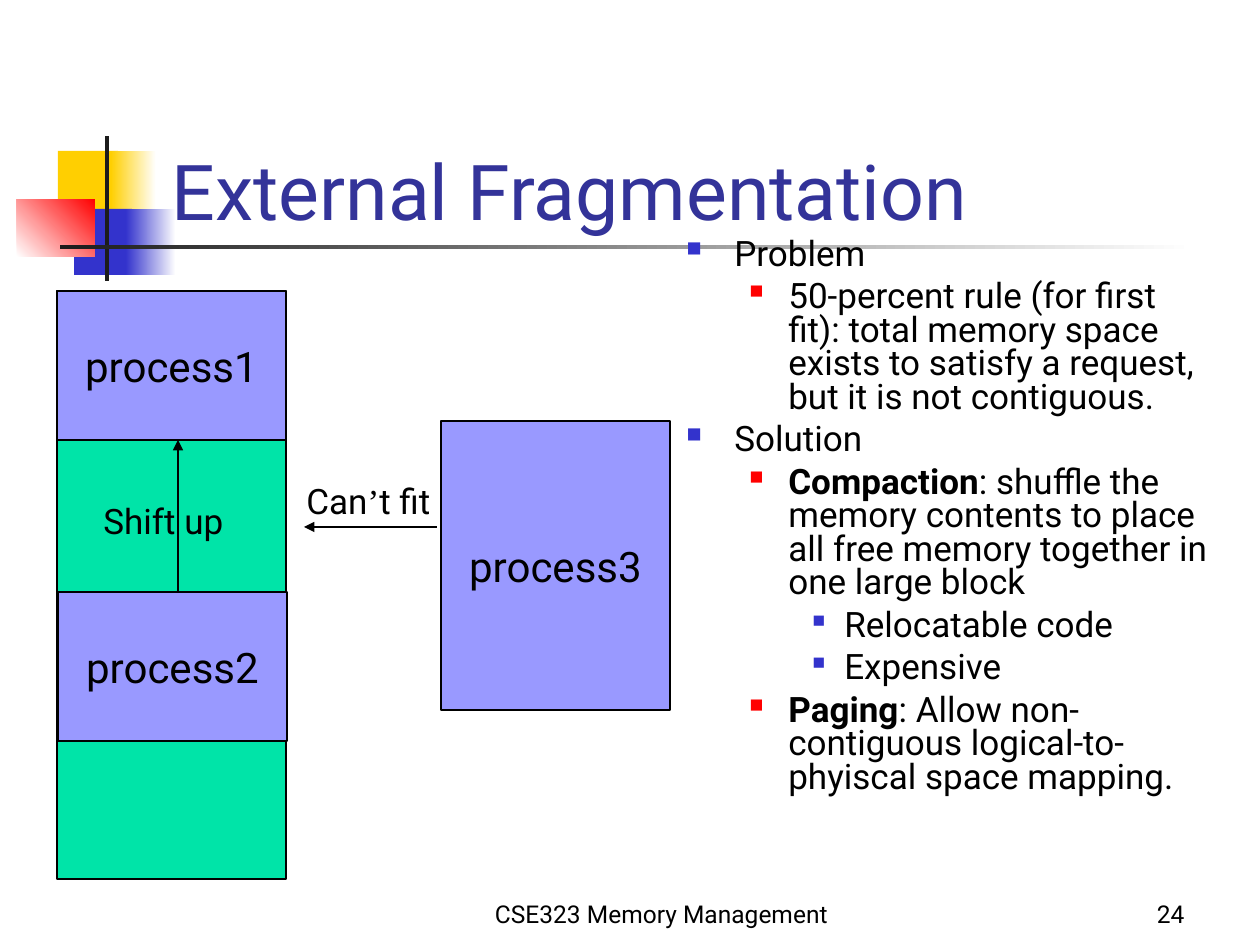
from dataclasses import dataclass
from typing import Optional

from lxml.etree import SubElement
from pptx import Presentation
from pptx.dml.color import RGBColor
from pptx.enum.shapes import MSO_CONNECTOR, MSO_SHAPE
from pptx.enum.text import MSO_ANCHOR as Anchor, MSO_AUTO_SIZE as AutoSize, PP_ALIGN as Align
from pptx.oxml.ns import qn
from pptx.util import Emu, Pt

PX_PER_INCH = 126


@dataclass(frozen=True)
class Theme:
    font: str = "Roboto"
    quote_font: str = "Times New Roman"
    ink: str = "000000"
    title: str = "333399"
    blue: str = "3333CC"
    red: str = "FF0000"
    yellow: str = "FFCF01"
    rule: str = "1C1C1C"
    white: str = "FFFFFF"
    free: str = "00E4A8"
    used: str = "9999FF"
    title_size: int = 44
    process_size: int = 24
    body_size: int = 20
    footer_size: int = 14
    hairline: float = 0.75


@dataclass(frozen=True)
class Box:
    x: int
    y: int
    w: int
    h: int


@dataclass(frozen=True)
class Ornament:
    box: Box
    start: str
    end: Optional[str] = None
    angle: int = 0


@dataclass(frozen=True)
class Block:
    box: Box
    color: str
    label: str = ""


@dataclass(frozen=True)
class Arrow:
    x1: int
    y1: int
    x2: int
    y2: int


@dataclass(frozen=True)
class Level:
    margin: int
    hanging: int
    color: str
    percent: int


@dataclass(frozen=True)
class Point:
    level: int
    text: str
    lead: str = ""


THEME = Theme()
ORNAMENTS = (
    Ornament(Box(58, 151, 60, 66), THEME.yellow),
    Ornament(Box(111, 151, 45, 66), THEME.yellow, THEME.white),
    Ornament(Box(74, 209, 58, 66), THEME.blue),
    Ornament(Box(126, 209, 50, 66), THEME.blue, THEME.white),
    Ornament(Box(17, 199, 78, 58), THEME.white, THEME.red, 45),
    Ornament(Box(105, 136, 4, 145), THEME.rule),
    Ornament(Box(60, 245, 1134, 4), THEME.rule, THEME.white),
)
BLOCKS = (
    Block(Box(57, 291, 229, 588), THEME.free),
    Block(Box(57, 291, 229, 149), THEME.used, "process1"),
    Block(Box(58, 592, 229, 149), THEME.used, "process2"),
    Block(Box(441, 421, 229, 289), THEME.used, "process3"),
)
ARROWS = (Arrow(437, 527, 304, 527), Arrow(178, 593, 178, 440))
LEVELS = (
    Level(48, 48, THEME.blue, 60),
    Level(102, 39, THEME.red, 55),
    Level(158, 32, THEME.blue, 50),
)
POINTS = (
    Point(0, "Problem"),
    Point(1, "50-percent rule (for first fit): total memory space exists to satisfy a request, "
             "but it is not contiguous."),
    Point(0, "Solution"),
    Point(1, ": shuffle the memory contents to place all free memory together in one large block",
          "Compaction"),
    Point(2, "Relocatable code"),
    Point(2, "Expensive"),
    Point(1, ": Allow non-contiguous logical-to-phyiscal space mapping.", "Paging"),
)


def px(length: int) -> Emu:
    """Turn pixels into EMU."""
    return Emu(round(length * 914400 / PX_PER_INCH))


def place(box: Box) -> tuple[Emu, Emu, Emu, Emu]:
    """Give a box as left, top, width and height in EMU."""
    return px(box.x), px(box.y), px(box.w), px(box.h)


def style(paragraph, size: int, color: str = THEME.ink, align: Align = Align.LEFT) -> None:
    """Set the alignment and font of a whole paragraph."""
    paragraph.alignment = align
    paragraph.font.name = THEME.font
    paragraph.font.size = Pt(size)
    paragraph.font.color.rgb = RGBColor.from_string(color)


def add_rect(slide, box: Box, color: str):
    """Draw a flat rectangle without an outline."""
    rect = slide.shapes.add_shape(MSO_SHAPE.RECTANGLE, *place(box))
    rect.shadow.inherit = False
    rect.line.fill.background()
    rect.fill.solid()
    rect.fill.fore_color.rgb = RGBColor.from_string(color)
    return rect


def add_ornament(slide, ornament: Ornament) -> None:
    """Draw one solid or fading part of the title decoration."""
    rect = add_rect(slide, ornament.box, ornament.start)
    if ornament.end:
        rect.fill.gradient()
        rect.fill.gradient_angle = ornament.angle
        for stop, color in zip(rect.fill.gradient_stops, (ornament.start, ornament.end)):
            stop.color.rgb = RGBColor.from_string(color)


def add_block(slide, block: Block) -> None:
    """Draw an outlined memory block with its label."""
    rect = add_rect(slide, block.box, block.color)
    rect.line.color.rgb = RGBColor.from_string(THEME.ink)
    rect.line.width = Pt(THEME.hairline)
    if block.label:
        frame = rect.text_frame
        frame.word_wrap = False
        frame.vertical_anchor = Anchor.MIDDLE
        frame.text = block.label
        style(frame.paragraphs[0], THEME.process_size, align=Align.CENTER)


def add_arrow(slide, arrow: Arrow) -> None:
    """Draw a thin line with a triangle at its end."""
    line = slide.shapes.add_connector(
        MSO_CONNECTOR.STRAIGHT, px(arrow.x1), px(arrow.y1), px(arrow.x2), px(arrow.y2))
    line.line.color.rgb = RGBColor.from_string(THEME.ink)
    line.line.width = Pt(THEME.hairline)
    SubElement(line.line._get_or_add_ln(), qn("a:tailEnd"), type="triangle")
    SubElement(line._element.spPr, qn("a:effectLst"))


def add_label(slide, box: Box, *parts: str):
    """Write a one-line label, one run for each part."""
    frame = slide.shapes.add_textbox(*place(box)).text_frame
    frame.word_wrap = False
    frame.auto_size = AutoSize.SHAPE_TO_FIT_TEXT
    paragraph = frame.paragraphs[0]
    style(paragraph, THEME.body_size)
    for part in parts:
        paragraph.add_run().text = part
    return paragraph


def add_footer(slide, box: Box, text: str, align: Align) -> None:
    """Write a footer text at the bottom of its box."""
    frame = slide.shapes.add_textbox(*place(box)).text_frame
    frame.word_wrap = True
    frame.vertical_anchor = Anchor.BOTTOM
    frame.text = text
    style(frame.paragraphs[0], THEME.footer_size, align=align)


def set_bullet(paragraph, level: Level) -> None:
    """Give a paragraph the indent and square bullet of its level."""
    props = paragraph._p.get_or_add_pPr()
    props.set("marL", str(px(level.margin)))
    props.set("indent", str(-px(level.hanging)))
    SubElement(SubElement(props, qn("a:buClr")), qn("a:srgbClr"), val=level.color)
    SubElement(props, qn("a:buSzPct"), val=str(level.percent * 1000))
    SubElement(props, qn("a:buChar"), char="■")


def add_points(slide, box: Box, points: tuple[Point, ...]) -> None:
    """Write the bulleted outline."""
    frame = slide.shapes.add_textbox(*place(box)).text_frame
    frame.word_wrap = True
    for index, point in enumerate(points):
        paragraph = frame.add_paragraph() if index else frame.paragraphs[0]
        paragraph.level = point.level
        paragraph.line_spacing = 0.8
        paragraph.space_before = Pt(5)
        set_bullet(paragraph, LEVELS[point.level])
        style(paragraph, THEME.body_size)
        if point.lead:
            lead = paragraph.add_run()
            lead.text = point.lead
            lead.font.bold = True
        paragraph.add_run().text = point.text


def set_title(slide, box: Box, text: str) -> None:
    """Move, fill and format the title placeholder."""
    title = slide.shapes.title
    title.left, title.top, title.width, title.height = place(box)
    frame = title.text_frame
    frame.text = text
    frame.auto_size = AutoSize.NONE
    frame.vertical_anchor = Anchor.BOTTOM
    style(frame.paragraphs[0], THEME.title_size, THEME.title)


def main() -> None:
    """Build and save the slide."""
    deck = Presentation()
    deck.slide_width, deck.slide_height = px(1260), px(945)
    slide = deck.slides.add_slide(deck.slide_layouts[5])
    for ornament in ORNAMENTS:
        add_ornament(slide, ornament)
    add_footer(slide, Box(462, 872, 399, 63), "CSE323 Memory Management", Align.CENTER)
    add_footer(slide, Box(935, 872, 262, 63), "24", Align.RIGHT)
    set_title(slide, Box(159, 84, 1074, 158), "External Fragmentation")
    add_points(slide, Box(674, 233, 554, 667), POINTS)
    for block in BLOCKS:
        add_block(slide, block)
    for arrow in ARROWS:
        add_arrow(slide, arrow)
    cannot_fit = add_label(slide, Box(294, 473, 156, 55), "Can", "’", "t fit")
    cannot_fit.runs[1].font.name = THEME.quote_font
    add_label(slide, Box(91, 493, 152, 55), "Shift up")
    deck.save("out.pptx")


if __name__ == "__main__":
    main()
